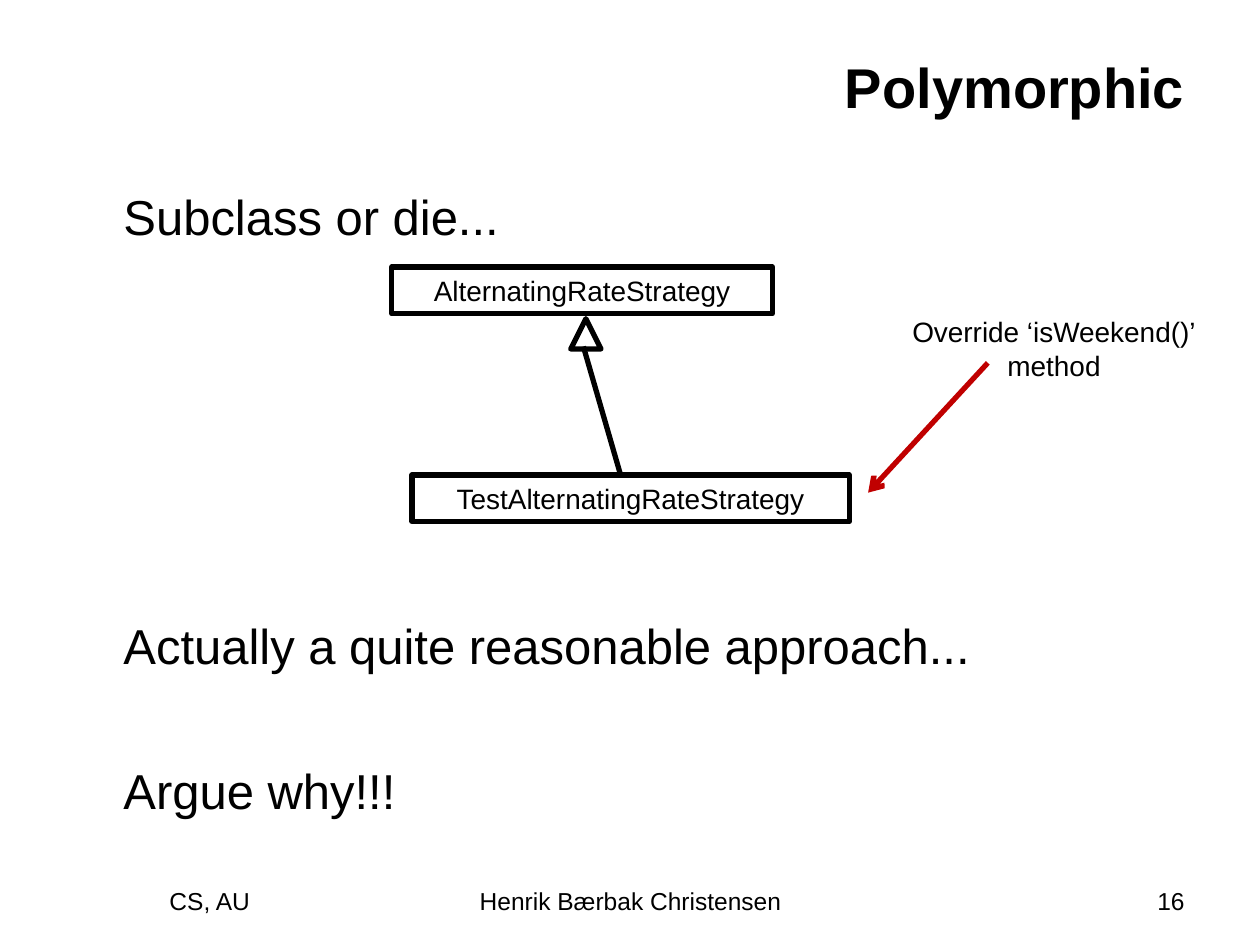
"""Build the Polymorphic slide with its small class diagram."""
import pptx
import pptx.util
import pptx.dml.color
import pptx.enum.shapes
import pptx.enum.text
import pptx.oxml.ns
import lxml.etree

Inches, Pt = pptx.util.Inches, pptx.util.Pt
RGB = pptx.dml.color.RGBColor
KIND = pptx.enum.shapes.MSO_SHAPE
ALIGN = pptx.enum.text.PP_ALIGN
MID = pptx.enum.text.MSO_ANCHOR.MIDDLE
TOP = pptx.enum.text.MSO_ANCHOR.TOP
HUES = {"ink": "000000", "red": "C00000"}

deck = pptx.Presentation()
deck.slide_width, deck.slide_height = Inches(10), Inches(7.5)
slide = deck.slides.add_slide(deck.slide_layouts[6])
shapes = slide.shapes


def write(frame, lines, size, align, anchor=TOP, wrap=True, bold=False, gaps=(0,)):
    """Fill a text frame with one paragraph for each line."""
    frame.word_wrap, frame.vertical_anchor = wrap, anchor
    frame.text = "\n".join(lines)
    look = {"name": "Arial", "size": Pt(size), "bold": bold}
    for para, gap in zip(frame.paragraphs, gaps):
        para.alignment = align
        if gap:
            para.space_before = Pt(gap)
        for key, value in look.items():
            setattr(para.font, key, value)
        para.font.color.rgb = RGB.from_string(HUES["ink"])


def stroke(item, hue):
    """Give a shape or connector a plain three-point line."""
    item.line.color.rgb = RGB.from_string(HUES[hue])
    item.line.width = Pt(3)


title = shapes.add_textbox(Inches(0.5), Inches(0.3), Inches(9), Inches(0.77))
write(title.text_frame, ["Polymorphic"], 32, ALIGN.RIGHT, MID, bold=True)

body = shapes.add_textbox(Inches(0.5), Inches(1.43), Inches(9), Inches(5.41))
body.text_frame.margin_left = Inches(0.48)
points = ["Subclass or die...", "Actually a quite reasonable approach...", "Argue why!!!"]
write(body.text_frame, points, 28, ALIGN.LEFT, gaps=(0, 211.8, 48.9))

feet = [
    ("CS, AU", 0.5, 2.33, ALIGN.CENTER),
    ("Henrik Bærbak Christensen", 3.42, 3.17, ALIGN.CENTER),
    ("16", 7.17, 2.33, ALIGN.RIGHT),
]
for text, left, width, align in feet:
    foot = shapes.add_textbox(Inches(left), Inches(6.98), Inches(width), Inches(0.37))
    write(foot.text_frame, [text], 14, align)

nodes = [
    (KIND.RECTANGLE, "AlternatingRateStrategy", 3.11, 2.12, 3.02, 0.37),
    (KIND.ISOSCELES_TRIANGLE, "", 4.53, 2.53, 0.24, 0.24),
    (KIND.RECTANGLE, "TestAlternatingRateStrategy", 3.27, 3.77, 3.47, 0.37),
]
for kind, text, *area in nodes:
    node = shapes.add_shape(kind, *map(Inches, area))
    node.shadow.inherit = False
    node.fill.background()
    stroke(node, "ink")
    if text:
        write(node.text_frame, [text], 16, ALIGN.CENTER, MID)

links = [
    ("ink", False, 4.63, 2.75, 4.92, 3.75),
    ("red", True, 7.84, 2.88, 6.89, 3.91),
]
for hue, arrow, *ends in links:
    link = shapes.add_connector(pptx.enum.shapes.MSO_CONNECTOR.STRAIGHT, *map(Inches, ends))
    stroke(link, hue)
    props = link.line._get_or_add_ln()
    if arrow:
        lxml.etree.SubElement(props, pptx.oxml.ns.qn("a:tailEnd"), type="arrow")
    lxml.etree.SubElement(props.getparent(), pptx.oxml.ns.qn("a:effectLst"))

note = shapes.add_textbox(Inches(7.14), Inches(2.45), Inches(2.45), Inches(0.64))
write(note.text_frame, ["Override ‘isWeekend()’", "method"], 16, ALIGN.CENTER,
      wrap=False, gaps=(0, 0))

deck.save("out.pptx")
